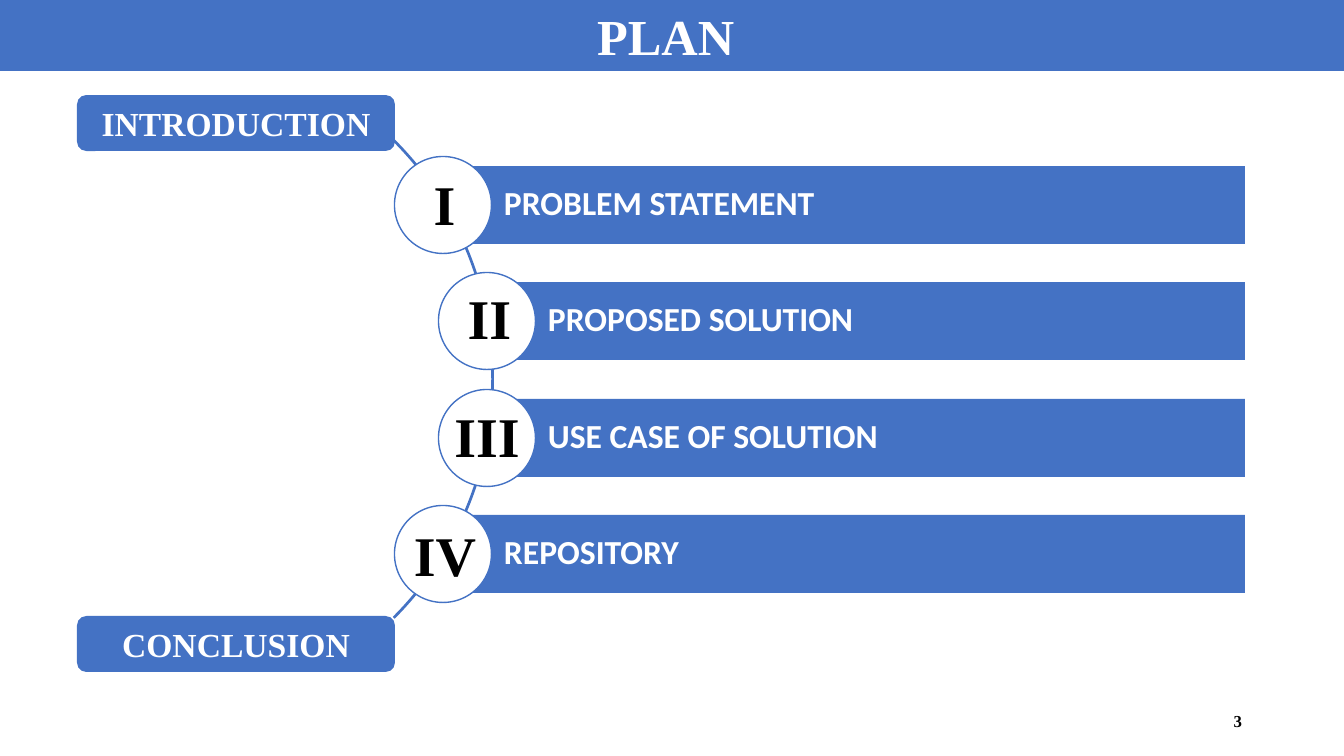
"""Build the plan slide: a title band, four numbered sections along an arc, and two end labels."""
from pptx import Presentation
from pptx.dml.color import RGBColor
from pptx.enum.shapes import MSO_SHAPE
from pptx.enum.text import MSO_ANCHOR, PP_ALIGN
from pptx.util import Pt

TITLE = "PLAN "
PAGE_NUMBER = "3"
SECTIONS = [
    ("PROBLEM STATEMENT", 443, "I", (407, 165, 75, 78)),
    ("PROPOSED SOLUTION", 487, "II", (452, 279, 75, 78)),
    ("USE CASE OF SOLUTION", 487, "III", (434, 397, 106, 78)),
    ("REPOSITORY", 443, "IV", (392, 516, 106, 78)),
]
END_LABELS = [("INTRODUCTION", 95), ("CONCLUSION", 616)]

THEME = {
    "blue": RGBColor(0x44, 0x72, 0xC4),
    "white": RGBColor(0xFF, 0xFF, 0xFF),
    "black": RGBColor(0, 0, 0),
    "serif": "Times New Roman",
    "sans": "Calibri",
    "title": 36,
    "label": 24,
    "numeral": 40,
    "page": 12,
}

SCALE = 12192000 / 1344
WIDTH, HEIGHT = 1344, 756
BAR_TOP, BAR_PITCH, BAR_HEIGHT, BAR_RIGHT = 166, 116.33, 78, 1245
CIRCLE_SIZE = 97
ARC_BOX = (-184, 40, 678, 678)
ARC_ADJUSTMENTS = (189, 27, 0.004)


def emu(pixels):
    return round(pixels * SCALE)


def add_shape(kind, box, fill="blue", line=None):
    shape = slide.shapes.add_shape(kind, *map(emu, box))
    shape.shadow.inherit = False
    shape.fill.solid()
    shape.fill.fore_color.rgb = THEME[fill]
    if line:
        shape.line.color.rgb = THEME[line]
        shape.line.width = Pt(1)
    else:
        shape.line.fill.background()
    return shape


def add_text_box(box):
    return slide.shapes.add_textbox(*map(emu, box))


def write(shape, text, size, color="white", font="serif",
          align=PP_ALIGN.CENTER, anchor=MSO_ANCHOR.TOP):
    frame = shape.text_frame
    frame.word_wrap = True
    frame.vertical_anchor = anchor
    frame.text = text
    paragraph = frame.paragraphs[0]
    paragraph.alignment = align
    run_font = paragraph.runs[0].font
    run_font.name = THEME[font]
    run_font.size = Pt(THEME[size])
    run_font.bold = True
    run_font.color.rgb = THEME[color]
    return frame


presentation = Presentation()
presentation.slide_width = emu(WIDTH)
presentation.slide_height = emu(HEIGHT)
slide = presentation.slides.add_slide(presentation.slide_layouts[6])

write(add_text_box((950, 701, 302, 40)), PAGE_NUMBER, "page", "black",
      align=PP_ALIGN.RIGHT, anchor=MSO_ANCHOR.MIDDLE)
write(add_shape(MSO_SHAPE.RECTANGLE, (0, 0, WIDTH, 71)), TITLE, "title")

arc = add_shape(MSO_SHAPE.BLOCK_ARC, ARC_BOX)
for index, value in enumerate(ARC_ADJUSTMENTS):
    arc.adjustments[index] = value

for index, (heading, left, numeral, numeral_box) in enumerate(SECTIONS):
    top = BAR_TOP + round(index * BAR_PITCH)
    bar = add_shape(MSO_SHAPE.RECTANGLE, (left, top, BAR_RIGHT - left, BAR_HEIGHT))
    frame = write(bar, heading, "label", font="sans",
                  align=PP_ALIGN.LEFT, anchor=MSO_ANCHOR.MIDDLE)
    frame.margin_left = emu(61)
    frame.margin_right = frame.margin_top = frame.margin_bottom = emu(7)
    frame.paragraphs[0].line_spacing = 0.9
    circle_top = top + (BAR_HEIGHT - CIRCLE_SIZE) / 2
    add_shape(MSO_SHAPE.OVAL, (left - CIRCLE_SIZE / 2, circle_top, CIRCLE_SIZE, CIRCLE_SIZE),
              "white", "blue")
    write(add_text_box(numeral_box), numeral, "numeral", "black")

for label, top in END_LABELS:
    write(add_shape(MSO_SHAPE.ROUNDED_RECTANGLE, (77, top, 318, 56)), label, "label")

presentation.save("out.pptx")
